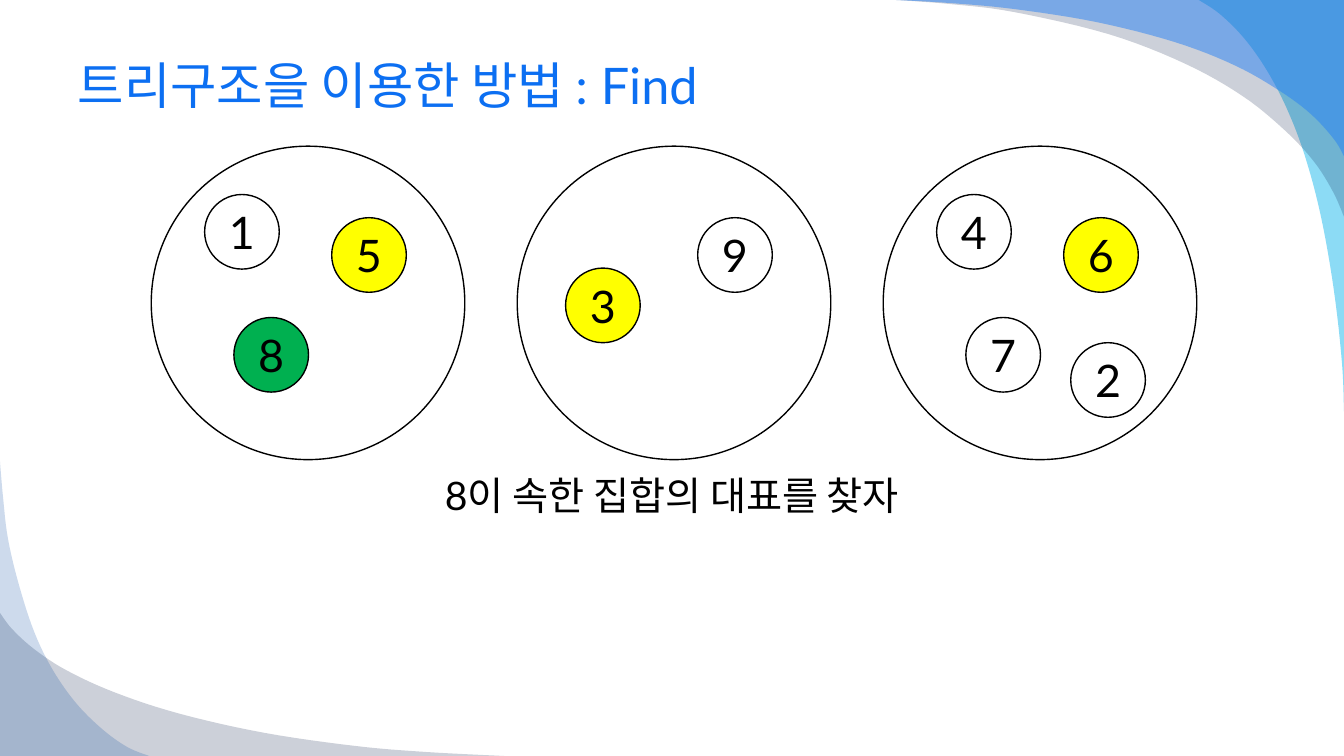
from dataclasses import dataclass

from lxml import etree
from pptx import Presentation, util as u
from pptx.dml.color import RGBColor
from pptx.enum import shapes, text
from pptx.oxml import ns


@dataclass(frozen=True)
class Theme:
    font: str = "Lato"
    title: str = "0C6FF2"
    ink: str = "000000"
    plain: str = "FFFFFF"
    root: str = "FFFF00"
    goal: str = "00B050"
    navy: str = "021741"
    cyan: str = "00B1E9"
    blue: str = "247FF4"
    deep: str = "084AA1"
    big: int = 36
    mid: int = 32
    small: int = 28


COLS, ROWS = 13.33, 7.5  # grid of one-inch cells
THEME = Theme()

# Colour, opacity in percent, corner, points on the curved edge
TOP, LOW = (COLS, 0), (0, ROWS)
WAVES = [
    (THEME.cyan, 45, TOP, [
        (11.89, 0), (12.1, 0.14), (12.34, 0.38), (12.56, 0.69), (12.76, 1.07),
        (12.94, 1.54), (13.1, 2.14), (13.23, 2.88), (13.31, 3.6), (13.33, 4.08)]),
    (THEME.navy, 20, TOP, [
        (13.33, 2.15), (13.22, 1.9), (13.03, 1.6), (12.74, 1.29), (12.32, 0.95),
        (11.75, 0.63), (11, 0.34), (10.06, 0.12), (9.42, 0.04), (8.89, 0)]),
    (THEME.blue, 49, TOP, [
        (13.33, 1.55), (13.23, 1.38), (13, 1.13), (12.69, 0.9), (12.25, 0.65),
        (11.66, 0.42), (10.88, 0.22), (10.06, 0.09), (9.42, 0.03), (8.89, 0)]),
    (THEME.navy, 20, LOW, [
        (0, 6.08), (0.12, 6.24), (0.34, 6.44), (0.66, 6.65), (1.14, 6.87),
        (1.78, 7.08), (2.62, 7.27), (3.52, 7.4), (4.22, 7.46), (5, 7.5)]),
    (THEME.deep, 20, LOW, [
        (1.48, 7.5), (1.26, 7.41), (1.01, 7.23), (0.75, 6.97), (0.52, 6.64),
        (0.34, 6.27), (0.19, 5.81), (0.08, 5.35), (0.03, 4.93), (0, 4.58)]),
]

# Each set lists its members: label, fill, spot inside the big circle
NW, NE, SW, SE, WEST = (0.53, 0.48), (1.79, 0.71), (0.82, 1.7), (1.86, 1.95), (0.48, 1.21)
SETS = [
    [("1", THEME.plain, NW), ("5", THEME.root, NE), ("8", THEME.goal, SW)],
    [("9", THEME.plain, NE), ("3", THEME.root, WEST)],
    [("4", THEME.plain, NW), ("6", THEME.root, NE), ("7", THEME.plain, SW),
     ("2", THEME.plain, SE)],
]
LEFT, HIGH, STEP = 1.5, 1.45, 3.63
RING, BALL = 3.11, 0.74


def smooth(pts, steps=6):
    """Return a Catmull-Rom curve that runs through all the points."""
    ends = [pts[0], *pts, pts[-1]]
    out = [pts[0]]
    for a, b, c, d in zip(ends, ends[1:], ends[2:], ends[3:]):
        for t in (i / steps for i in range(1, steps + 1)):
            out.append(tuple(
                (2 * q + (r - p) * t + (2 * p - 5 * q + 4 * r - s) * t**2
                 + (3 * q - p - 3 * r + s) * t**3) / 2
                for p, q, r, s in zip(a, b, c, d)))
    return out


class Board:
    def __init__(self, deck, theme):
        self.deck, self.theme = deck, theme
        self.slide = deck.slides.add_slide(deck.slide_layouts[5])

    def cell(self, col, row):
        """Turn grid units into slide lengths."""
        return (round(col / COLS * self.deck.slide_width),
                round(row / ROWS * self.deck.slide_height))

    def label(self, shape, words, size, color, align):
        frame = shape.text_frame
        frame.word_wrap = True
        frame.auto_size = text.MSO_AUTO_SIZE.NONE
        frame.vertical_anchor = text.MSO_ANCHOR.MIDDLE
        frame.text = words
        para = frame.paragraphs[0]
        para.alignment = align
        para.font.name = self.theme.font
        para.font.size = u.Pt(size)
        para.font.color.rgb = RGBColor.from_string(color)

    def title(self, words, col, row, wide, tall):
        shape = self.slide.shapes.title
        shape.left, shape.top = self.cell(col, row)
        shape.width, shape.height = self.cell(wide, tall)
        self.label(shape, words, self.theme.big, self.theme.title, text.PP_ALIGN.LEFT)

    def note(self, words, col, row, wide, tall):
        box = self.slide.shapes.add_textbox(*self.cell(col, row), *self.cell(wide, tall))
        self.label(box, words, self.theme.small, self.theme.ink, text.PP_ALIGN.CENTER)

    def disc(self, col, row, size, fill, words=""):
        shape = self.slide.shapes.add_shape(
            shapes.MSO_SHAPE.OVAL, *self.cell(col, row), *self.cell(size, size))
        shape.shadow.inherit = False
        shape.fill.solid()
        shape.fill.fore_color.rgb = RGBColor.from_string(fill)
        shape.line.color.rgb = RGBColor.from_string(self.theme.ink)
        shape.line.width = u.Pt(1)
        if words:
            self.label(shape, words, self.theme.mid, self.theme.ink, text.PP_ALIGN.CENTER)

    def wave(self, color, alpha, corner, edge):
        """Fill the area between a slide corner and a curved edge."""
        pen = self.slide.shapes.build_freeform(*self.cell(*corner))
        pen.add_line_segments([self.cell(*p) for p in smooth(edge)], close=True)
        shape = pen.convert_to_shape()
        shape.shadow.inherit = False
        shape.line.fill.background()
        shape.fill.solid()
        shape.fill.fore_color.rgb = RGBColor.from_string(color)
        tint = shape.element.spPr.find(".//" + ns.qn("a:srgbClr"))
        etree.SubElement(tint, ns.qn("a:alpha")).set("val", str(alpha * 1000))


def main():
    deck = Presentation()
    deck.slide_width, deck.slide_height = u.Inches(COLS), u.Inches(ROWS)
    board = Board(deck, THEME)
    for wave in WAVES:
        board.wave(*wave)
    board.title("트리구조을 이용한 방법 : Find", 0.67, 0.33, 12, 1.01)
    for i, group in enumerate(SETS):
        col = LEFT + i * STEP
        board.disc(col, HIGH, RING, THEME.plain)
        for words, fill, (dx, dy) in group:
            board.disc(col + dx, HIGH + dy, BALL, fill, words)
    board.note("8이 속한 집합의 대표를 찾자", 0, 4.62, COLS, 0.57)
    deck.save("out.pptx")


if __name__ == "__main__":
    main()
